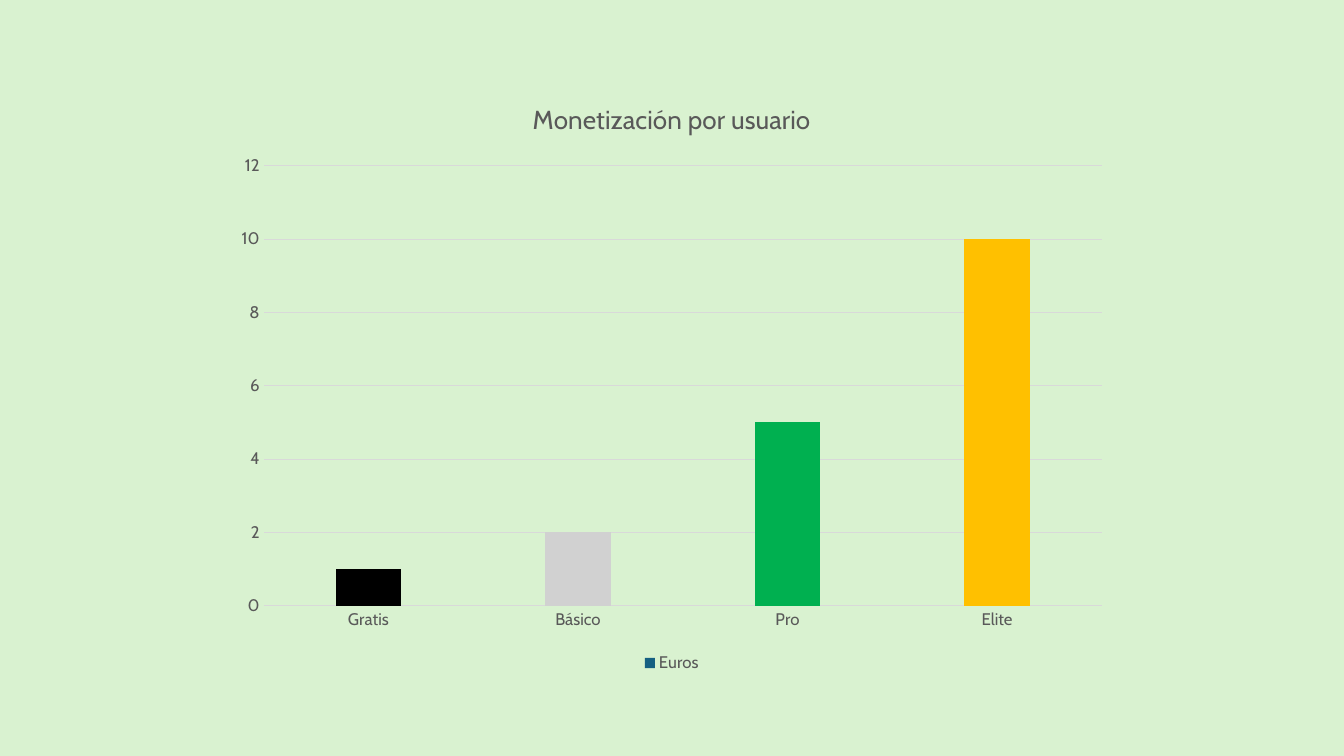
from pptx import Presentation
from pptx.chart.data import CategoryChartData
from pptx.dml.color import RGBColor
from pptx.enum.chart import XL_CHART_TYPE, XL_LEGEND_POSITION, XL_TICK_MARK
from pptx.util import Cm, Pt

FONT = "Cabin"
TEXT_GREY = "595959"
LINE_GREY = "D9D9D9"
PLANS = [
    ("Gratis", 1, "000000"),
    ("Básico", 2, "D1D1D1"),
    ("Pro", 5, "00B050"),
    ("Elite", 10, "FFC000"),
]


def paint(fill, color):
    fill.solid()
    fill.fore_color.rgb = RGBColor.from_string(color)


def style_font(font, size):
    font.name = FONT
    font.size = Pt(size)
    font.bold = False
    paint(font.fill, TEXT_GREY)


deck = Presentation()
deck.slide_width, deck.slide_height = Cm(33.87), Cm(19.05)
page = deck.slides.add_slide(deck.slide_layouts[6])
paint(page.background.fill, "D9F2D0")

data = CategoryChartData(number_format="General")
data.categories = [name for name, euros, color in PLANS]
data.add_series("Euros", [euros for name, euros, color in PLANS])
chart = page.shapes.add_chart(
    XL_CHART_TYPE.COLUMN_CLUSTERED, Cm(5.64), Cm(2), Cm(22.58), Cm(15.06), data
).chart
style_font(chart.font, 12)

# Title and legend
chart.has_title = True
title = chart.chart_title
title.include_in_layout = False
paragraph = title.text_frame.paragraphs[0]
span = paragraph.add_run()
span.text = "Monetización por usuario"
style_font(span.font, 18.6)

chart.has_legend = True
chart.legend.position = XL_LEGEND_POSITION.BOTTOM
chart.legend.include_in_layout = False
style_font(chart.legend.font, 12)

# Axes
category_axis, value_axis = chart.category_axis, chart.value_axis
for axis in (category_axis, value_axis):
    axis.major_tick_mark = XL_TICK_MARK.NONE
    axis.minor_tick_mark = XL_TICK_MARK.NONE
    style_font(axis.tick_labels.font, 12)
value_axis.minimum_scale = 0
value_axis.maximum_scale = 12
value_axis.major_unit = 2
value_axis.has_major_gridlines = True
value_axis.format.line.fill.background()
for line in (category_axis.format.line, value_axis.major_gridlines.format.line):
    line.width = Pt(0.75)
    paint(line.fill, LINE_GREY)

# Columns, one colour per plan
plot = chart.plots[0]
plot.gap_width = 219
plot.overlap = -27
plot.vary_by_categories = False
series = plot.series[0]
paint(series.format.fill, "156082")
for index, (name, euros, color) in enumerate(PLANS):
    paint(series.points[index].format.fill, color)

deck.save("out.pptx")
